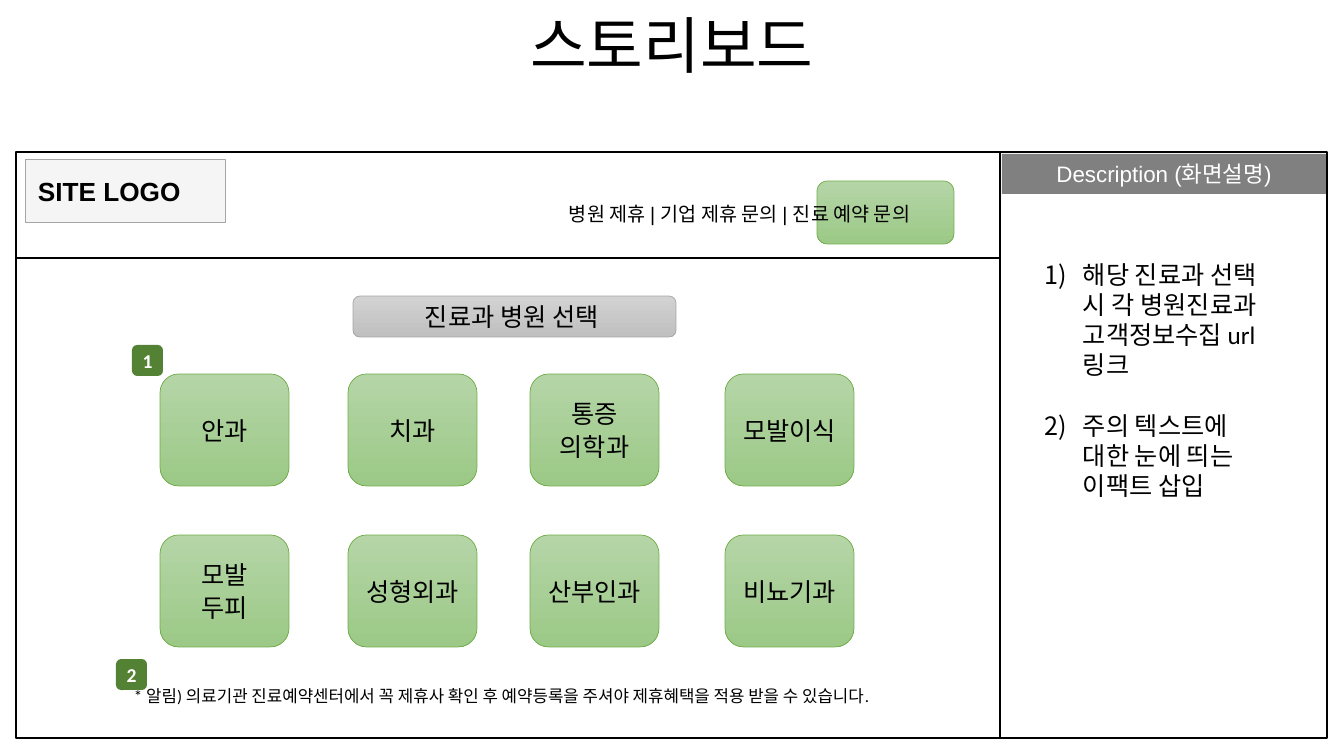
from lxml import etree
from pptx import Presentation
from pptx import util as u
from pptx.dml.color import RGBColor
from pptx.enum import shapes, text
from pptx.oxml.ns import qn

# Content
TITLE = "스토리보드"
LOGO = "SITE LOGO"
NAV = "병원 제휴 | 기업 제휴 문의 | 진료 예약 문의 "
HEADING = "진료과 병원 선택 "
CLINICS = [["안과", "치과", "통증\n의학과", "모발이식"],
           ["모발\n두피", "성형외과", "산부인과", "비뇨기과"]]
NOTICE = "* 알림) 의료기관 진료예약센터에서 꼭 제휴사 확인 후 예약등록을 주셔야 제휴혜택을 적용 받을 수 있습니다."
DESC_HEAD = "Description (화면설명)"
DESCRIPTION = ["해당 진료과 선택 시 각 병원진료과 고객정보수집 url 링크",
               "주의 텍스트에 대한 눈에 띄는 이팩트 삽입 "]
BADGES = [("1", 132, 345), ("2", 116, 659)]

C = dict(black="000000", white="FFFFFF", bar="808080", logo="F2F2F2",
         logo_line="A6A6A6", green_top="B5D5A7", green_end="9CC987",
         green_line="70AD47", gray_top="D2D2D2", gray_end="C0C0C0",
         gray_line="A5A5A5", badge="548235")
GREEN = ("green_top", "green_end")
GRAY = ("gray_top", "gray_end")

# Layout, in pixels
PX = 914400 / 100.8
FRAMES = [(16, 152, 987, 106), (16, 258, 987, 480), (1000, 152, 327, 586)]
COLUMNS, ROWS, TILE = (160, 348, 530, 725), (374, 535), (129, 112)
CENTER, LEFT = text.PP_ALIGN.CENTER, text.PP_ALIGN.LEFT
RECT, ROUND = shapes.MSO_SHAPE.RECTANGLE, shapes.MSO_SHAPE.ROUNDED_RECTANGLE


def px(n):
    return u.Emu(round(n * PX))


def rgb(name):
    return RGBColor.from_string(C[name])


def write(sp, words, size, color="black", font="Arial", bold=False,
          align=CENTER, inset=(10, 5), gap=0, wrap=True):
    tf = sp.text_frame
    tf.word_wrap = wrap
    tf.margin_left = tf.margin_right = px(inset[0])
    tf.margin_top = tf.margin_bottom = px(inset[1])
    tf.text = words
    for i, p in enumerate(tf.paragraphs):
        p.alignment = align
        p.font.size, p.font.name, p.font.bold = u.Pt(size), font, bold
        p.font.color.rgb = rgb(color)
        if i:
            p.space_before = u.Pt(gap)
    return tf


def box(kind, rect, fill, line=None, width=1):
    sp = s.shapes.add_shape(kind, *map(px, rect))
    sp.shadow.inherit = False
    if isinstance(fill, tuple):
        sp.fill.gradient()
        sp.fill.gradient_angle = 270
        for stop, name in zip(sp.fill.gradient_stops, fill):
            stop.color.rgb = rgb(name)
    else:
        sp.fill.solid()
        sp.fill.fore_color.rgb = rgb(fill)
    if line:
        sp.line.color.rgb = rgb(line)
        sp.line.width = u.Pt(width)
    else:
        sp.line.fill.background()
    sp.text_frame.vertical_anchor = text.MSO_ANCHOR.MIDDLE
    return sp


def textbox(rect, words, size, **style):
    return write(s.shapes.add_textbox(*map(px, rect)), words, size,
                 align=LEFT, **style)


prs = Presentation()
prs.slide_width, prs.slide_height = px(1344), px(756)
s = prs.slides.add_slide(prs.slide_layouts[5])

# Title
title = s.shapes.title
title.left, title.top, title.width, title.height = map(px, (0, 2, 1344, 93))
tf = write(title, TITLE, 44, font="Calibri")
tf.vertical_anchor = text.MSO_ANCHOR.MIDDLE
tf.auto_size = text.MSO_AUTO_SIZE.NONE
tf.paragraphs[0].line_spacing = 0.9

# Frames and description heading
for frame in FRAMES:
    box(RECT, frame, "white", "black")
write(box(RECT, (1002, 154, 324, 40), "bar"), DESC_HEAD, 16, "white", wrap=False)

# Page header: logo box, menu and its highlighted item
logo = box(RECT, (26, 160, 200, 63), "logo", "logo_line", 0.75)
color = logo.fill._xPr.find(".//" + qn("a:srgbClr"))
etree.SubElement(color, qn("a:alpha"), val="70000")
write(logo, LOGO, 18.7, bold=True, align=LEFT, inset=(12, 5), wrap=False)
box(ROUND, (817, 181, 137, 63), GREEN, "green_line", 0.5)
textbox((559, 197, 415, 34), NAV, 14)

# Clinic choices
heading = box(ROUND, (353, 296, 323, 41), GRAY, "gray_line", 0.5)
write(heading, HEADING, 18, inset=(2, 2))
for y, names in zip(ROWS, CLINICS):
    for x, name in zip(COLUMNS, names):
        tile = box(ROUND, (x, y, *TILE), GREEN, "green_line", 0.5)
        write(tile, name, 18, inset=(2, 2), gap=2)
textbox((124, 681, 851, 30), NOTICE, 12, font="Calibri")

# Numbered description
tf = textbox((1035, 254, 254, 285), "\n".join(DESCRIPTION), 18,
             font="Calibri", gap=21.5)
for p in tf.paragraphs:
    pPr = p._p.get_or_add_pPr()
    pPr.set("marL", str(px(38)))
    pPr.set("indent", str(-px(38)))
    number = etree.Element(qn("a:buAutoNum"), type="arabicParenR")
    pPr.find(qn("a:defRPr")).addprevious(number)

# Reference badges
for label, x, y in BADGES:
    write(box(ROUND, (x, y, 31, 31), "badge"), label, 14, "white", "Calibri",
          bold=True, inset=(0, 5))

prs.save("out.pptx")
